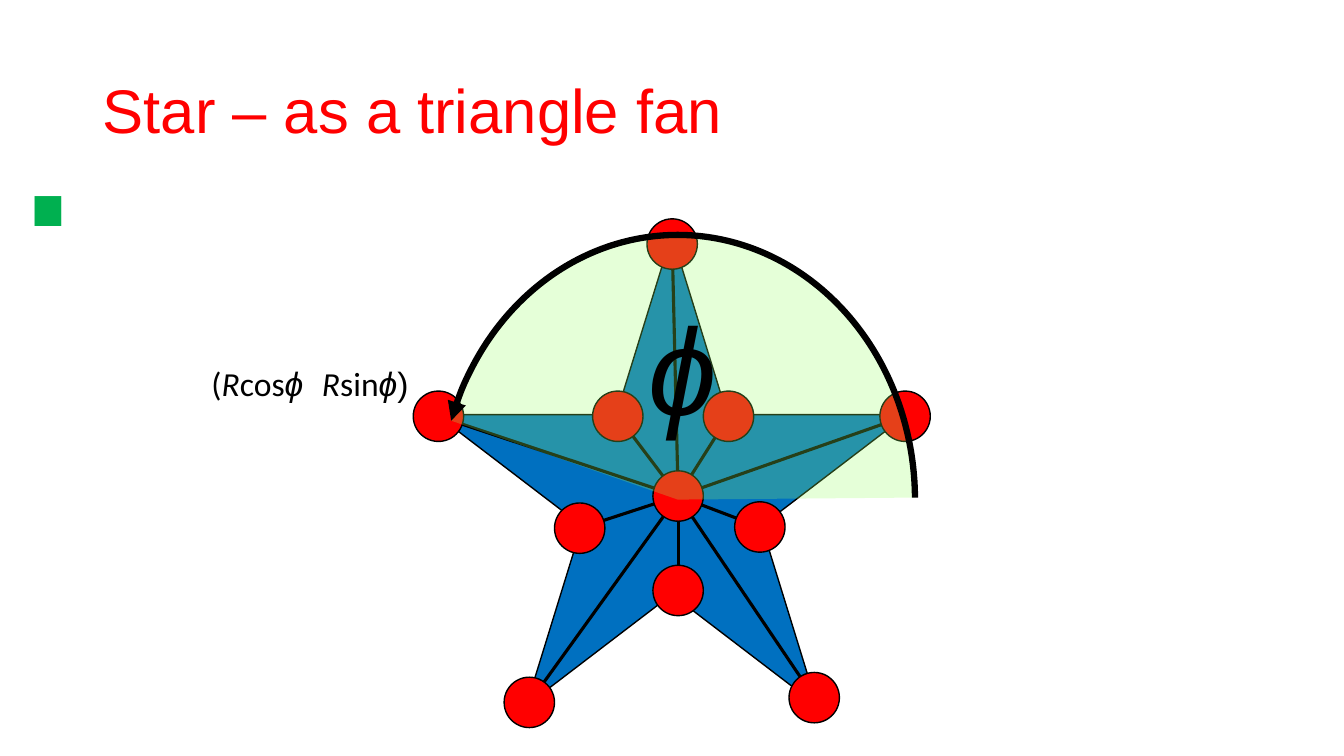
from dataclasses import dataclass

import pptx
import pptx.dml.color
import pptx.enum.shapes
import pptx.enum.text
import pptx.oxml
import pptx.oxml.ns
import pptx.presentation
import pptx.shapes.autoshape
import pptx.slide
import pptx.text.text
import pptx.util
from pptx.util import Cm

RED = pptx.dml.color.RGBColor(0xFF, 0x00, 0x00)
BLUE = pptx.dml.color.RGBColor(0x00, 0x70, 0xC0)
GREEN = pptx.dml.color.RGBColor(0x00, 0xB0, 0x50)
LIME = pptx.dml.color.RGBColor(0x99, 0xFF, 0x66)
BLACK = pptx.dml.color.RGBColor(0x00, 0x00, 0x00)

SHAPE = pptx.enum.shapes.MSO_SHAPE
ANCHOR = pptx.enum.text.MSO_ANCHOR
ALIGN = pptx.enum.text.PP_ALIGN
NODE_SIZE = 1.27


@dataclass(frozen=True)
class Box:
    left: float
    top: float
    width: float
    height: float

    def lengths(self) -> tuple[Cm, Cm, Cm, Cm]:
        return Cm(self.left), Cm(self.top), Cm(self.width), Cm(self.height)


@dataclass(frozen=True)
class Node:
    x: float
    y: float

    def box(self) -> Box:
        half = NODE_SIZE / 2
        return Box(self.x - half, self.y - half, NODE_SIZE, NODE_SIZE)


@dataclass(frozen=True)
class Run:
    text: str
    font: str = "Calibri"
    size: float = 24
    color: pptx.dml.color.RGBColor = BLACK
    italic: bool = False
    spacing: int = 0


@dataclass(frozen=True)
class Text:
    box: Box
    runs: tuple[Run, ...]
    anchor: ANCHOR = ANCHOR.TOP
    line_spacing: float = 1.0


HUB = Node(17.09, 12.5)
RIM = (
    Node(16.94, 6.15),
    Node(18.36, 10.49),
    Node(22.81, 10.49),
    Node(19.15, 13.28),
    Node(20.52, 17.58),
    Node(17.09, 14.88),
    Node(13.34, 17.7),
    Node(14.61, 13.31),
    Node(11.05, 10.49),
    Node(15.57, 10.49),
)
STAR = Box(11, 5.92, 11.86, 11.86)
ARC = Box(11.1, 5.92, 11.96, 13.34)

TITLE = Text(
    Box(2.34, 1.02, 29.21, 3.68),
    (Run("Star – as a triangle fan", "Arial", 44, RED),),
    ANCHOR.MIDDLE,
    0.9,
)
PHI = Run("ϕ", "Arial", italic=True)
RADIUS = Run("R", italic=True)
COORDINATES = Text(
    Box(5.08, 9.02, 7.26, 1.27),
    (
        Run("("), RADIUS, Run("cos"), PHI,
        Run(" ", "Arial", spacing=660),
        RADIUS, Run("sin"), PHI, Run(")", "Arial"),
    ),
)
DOT = Text(Box(0, -1.47, 1.45, 8.81), (Run(".", "Arial", 200, GREEN),))


def add_run(p: pptx.text.text._Paragraph, run: Run) -> None:
    r = p.add_run()
    r.text = run.text
    formats = {
        "name": run.font,
        "size": pptx.util.Pt(run.size),
        "italic": run.italic,
    }
    for name, value in formats.items():
        setattr(r.font, name, value)
    r.font.color.rgb = run.color
    if run.spacing:
        r._r.get_or_add_rPr().set("spc", str(run.spacing))


def add_text(s: pptx.slide.Slide, text: Text) -> None:
    tf = s.shapes.add_textbox(*text.box.lengths()).text_frame
    formats = {"word_wrap": True, "vertical_anchor": text.anchor}
    for name, value in formats.items():
        setattr(tf, name, value)
    p = tf.paragraphs[0]
    p.line_spacing = text.line_spacing
    for run in text.runs:
        add_run(p, run)


def add_figure(
    s: pptx.slide.Slide,
    kind: SHAPE,
    box: Box,
    fill: pptx.dml.color.RGBColor,
    line_width: float = 1,
) -> pptx.shapes.autoshape.Shape:
    sp = s.shapes.add_shape(kind, *box.lengths())
    sp.shadow.inherit = False
    sp.fill.solid()
    sp.fill.fore_color.rgb = fill
    sp.line.color.rgb = BLACK
    sp.line.width = pptx.util.Pt(line_width)
    return sp


def add_spoke(s: pptx.slide.Slide, node: Node) -> None:
    cx = s.shapes.add_connector(
        pptx.enum.shapes.MSO_CONNECTOR.STRAIGHT,
        Cm(HUB.x), Cm(HUB.y), Cm(node.x), Cm(node.y),
    )
    cx.line.color.rgb = BLACK
    cx.line.width = pptx.util.Pt(2.25)
    add_child(cx._element.spPr, "a:effectLst", {})


def add_child(parent, tag: str, attributes: dict[str, str]) -> None:
    child = pptx.oxml.parse_xml(f"<{tag} {pptx.oxml.ns.nsdecls('a')}/>")
    for name, value in attributes.items():
        child.set(name, value)
    parent.append(child)


def add_angle(s: pptx.slide.Slide) -> None:
    sp = add_figure(s, SHAPE.ARC, ARC, LIME, 4.5)
    sp.adjustments[0] = 119.52
    sp.adjustments[1] = 215.71
    color = sp._element.spPr.find(".//" + pptx.oxml.ns.qn("a:srgbClr"))
    add_child(color, "a:alpha", {"val": "25000"})
    add_child(sp.line._get_or_add_ln(), "a:headEnd", {"type": "triangle"})
    tf = sp.text_frame
    tf.vertical_anchor = ANCHOR.MIDDLE
    p = tf.paragraphs[0]
    p.alignment = ALIGN.CENTER
    add_run(p, Run("ϕ", "Arial", 88, italic=True))


def main() -> None:
    prs = pptx.Presentation()
    prs.slide_width, prs.slide_height = Cm(33.87), Cm(19.05)
    s = prs.slides.add_slide(prs.slide_layouts[6])
    add_figure(s, SHAPE.STAR_5_POINT, STAR, BLUE)
    add_text(s, TITLE)
    for node in RIM:
        add_spoke(s, node)
    for node in (HUB, *RIM):
        add_figure(s, SHAPE.OVAL, node.box(), RED)
    add_angle(s)
    add_text(s, COORDINATES)
    add_text(s, DOT)
    prs.save("out.pptx")


if __name__ == "__main__":
    main()
